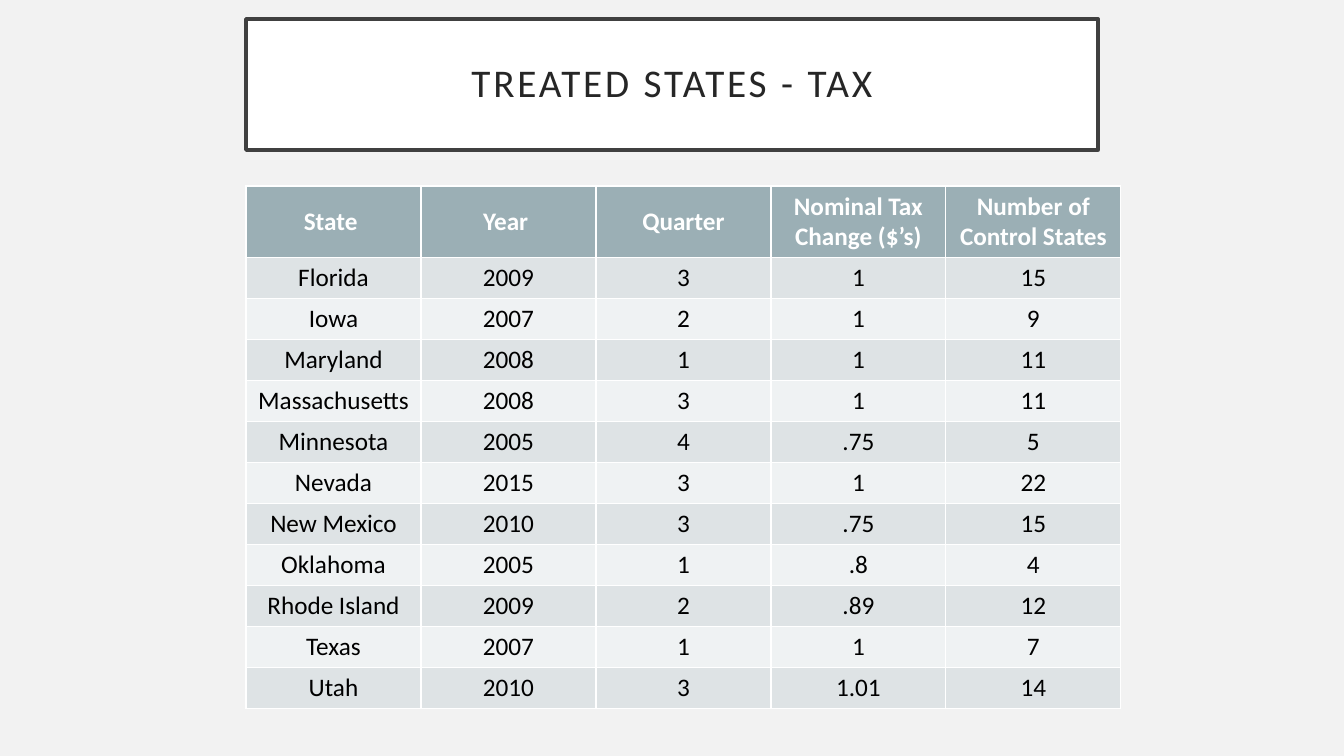
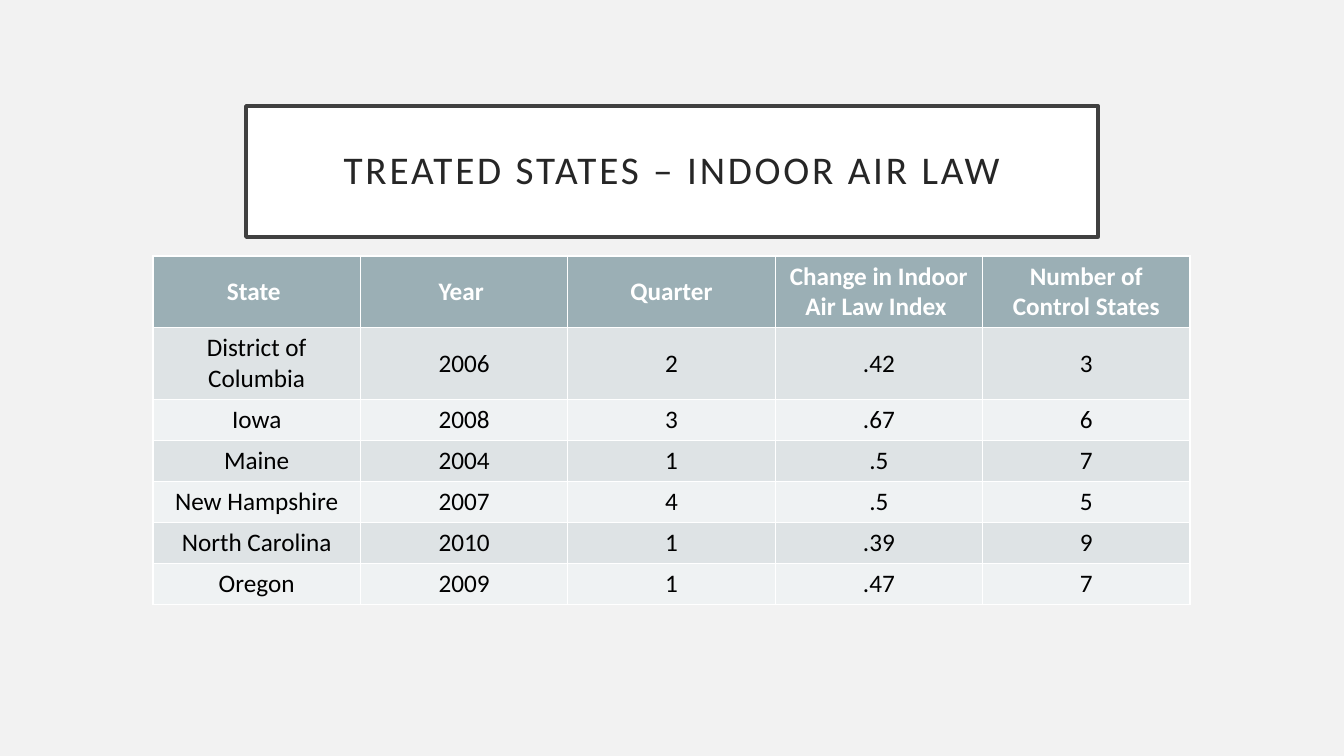
from pptx import Presentation
from pptx.dml.color import RGBColor
from pptx.enum.shapes import MSO_SHAPE
from pptx.enum.text import MSO_ANCHOR, PP_ALIGN
from pptx.util import Pt

RECTANGLE = MSO_SHAPE.RECTANGLE
MIDDLE = MSO_ANCHOR.MIDDLE
CENTER = PP_ALIGN.CENTER

EMU_PER_INCH = 914400
PX_PER_INCH = 100.8
PAGE_WIDTH, PAGE_HEIGHT = 1344, 756
TITLE_LEFT, TITLE_WIDTH, TITLE_HEIGHT, TITLE_INSET = 246, 852, 131, 20
ROW_HEIGHT, TALL_ROW_HEIGHT = 41, 71

FONT = "Calibri"
BACKGROUND = RGBColor(0xF2, 0xF2, 0xF2)
WHITE = RGBColor(0xFF, 0xFF, 0xFF)
BLACK = RGBColor(0x00, 0x00, 0x00)
TITLE_LINE = RGBColor(0x40, 0x40, 0x40)
TITLE_TEXT = RGBColor(0x26, 0x26, 0x26)
HEADER_FILL = RGBColor(0x9B, 0xAF, 0xB5)
BAND_FILLS = (RGBColor(0xEF, 0xF2, 0xF3), RGBColor(0xDE, 0xE3, 0xE5))

TAX_ROWS = [
    ("State ", "Year ", "Quarter", "Nominal Tax Change ($’s)", "Number of Control States"),
    ("Florida", "2009", "3", "1", "15"),
    ("Iowa", "2007", "2", "1", "9"),
    ("Maryland", "2008", "1", "1", "11"),
    ("Massachusetts", "2008", "3", "1", "11"),
    ("Minnesota", "2005", "4", ".75", "5"),
    ("Nevada", "2015", "3", "1", "22"),
    ("New Mexico", "2010", "3", ".75", "15"),
    ("Oklahoma", "2005", "1", ".8", "4"),
    ("Rhode Island", "2009", "2", ".89", "12"),
    ("Texas", "2007", "1", "1", "7"),
    ("Utah", "2010", "3", "1.01", "14"),
]
AIR_LAW_ROWS = [
    ("State ", "Year ", "Quarter", "Change in Indoor Air Law Index ", "Number of Control States"),
    ("District of Columbia", "2006", "2", ".42", "3"),
    ("Iowa", "2008", "3", ".67", "6"),
    ("Maine", "2004", "1", ".5", "7"),
    ("New Hampshire", "2007", "4", ".5", "5"),
    ("North Carolina", "2010", "1", ".39", "9"),
    ("Oregon", "2009", "1", ".47", "7"),
]


def px(length):
    """Turn pixels into EMU."""
    return round(length * EMU_PER_INCH / PX_PER_INCH)


def style_paragraph(para, size, color, bold=False):
    """Centre a paragraph and set its font."""
    para.alignment = CENTER
    para.font.name = FONT
    para.font.size = Pt(size)
    para.font.color.rgb = color
    para.font.bold = bold


def add_title(page, text, top):
    """Draw the framed title with its upper edge at top."""
    box = page.shapes.add_shape(
        RECTANGLE, px(TITLE_LEFT), px(top), px(TITLE_WIDTH), px(TITLE_HEIGHT))
    box.shadow.inherit = False
    box.fill.solid()
    box.fill.fore_color.rgb = WHITE
    box.line.color.rgb = TITLE_LINE
    box.line.width = Pt(2.5)
    frame = box.text_frame
    frame.word_wrap = True
    frame.vertical_anchor = MIDDLE
    frame.margin_left = frame.margin_right = px(TITLE_INSET)
    frame.margin_top = frame.margin_bottom = px(TITLE_INSET)
    para = frame.paragraphs[0]
    para.line_spacing = 0.9
    span = para.add_run()
    span.text = text
    span.font._element.set("spc", "200")
    style_paragraph(para, 28, TITLE_TEXT)


def add_state_table(page, rows, left, top, width, tall_rows):
    """Draw a banded table with equal columns; tall_rows hold two lines."""
    heights = [TALL_ROW_HEIGHT if index in tall_rows else ROW_HEIGHT
               for index in range(len(rows))]
    table = page.shapes.add_table(
        len(rows), len(rows[0]), px(left), px(top), px(width), px(sum(heights))).table
    for row_index, values in enumerate(rows):
        table.rows[row_index].height = px(heights[row_index])
        is_header = row_index == 0
        for column_index, value in enumerate(values):
            cell = table.cell(row_index, column_index)
            cell.text = value
            cell.vertical_anchor = MIDDLE
            cell.fill.solid()
            cell.fill.fore_color.rgb = HEADER_FILL if is_header else BAND_FILLS[row_index % 2]
            style_paragraph(cell.text_frame.paragraphs[0], 18,
                            WHITE if is_header else BLACK, is_header)


def add_page(deck, title, title_top, rows, table_box, tall_rows):
    """Add a slide with a state table under a framed title."""
    page = deck.slides.add_slide(deck.slide_layouts[6])
    page.background.fill.solid()
    page.background.fill.fore_color.rgb = BACKGROUND
    add_state_table(page, rows, *table_box, tall_rows)
    add_title(page, title, title_top)


def main():
    """Build and save the deck."""
    deck = Presentation()
    deck.slide_width, deck.slide_height = px(PAGE_WIDTH), px(PAGE_HEIGHT)
    add_page(deck, "TREATED STATES - TAX", 19, TAX_ROWS, (246, 186, 875), {0})
    add_page(deck, "TREATED STATES – INDOOR AIR LAW", 106, AIR_LAW_ROWS,
             (153, 256, 1037), {0, 1})
    deck.save("out.pptx")


if __name__ == "__main__":
    main()
